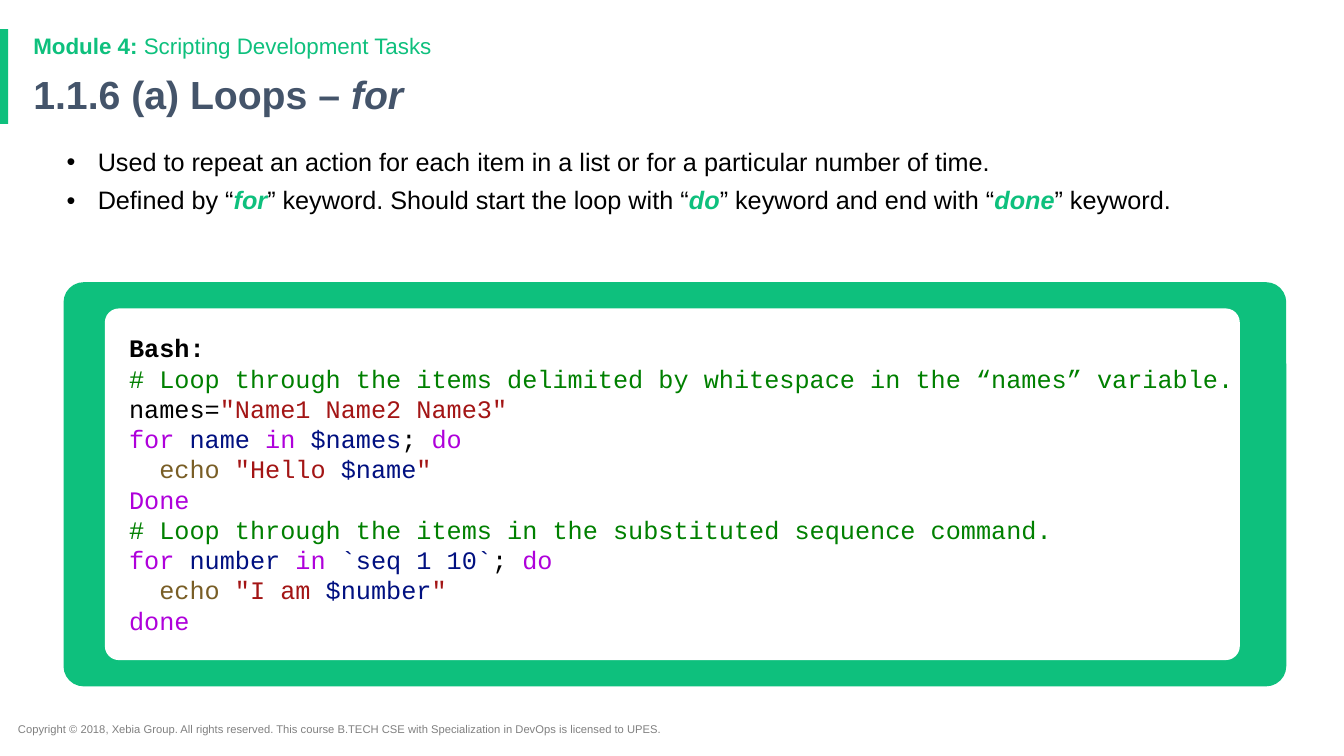
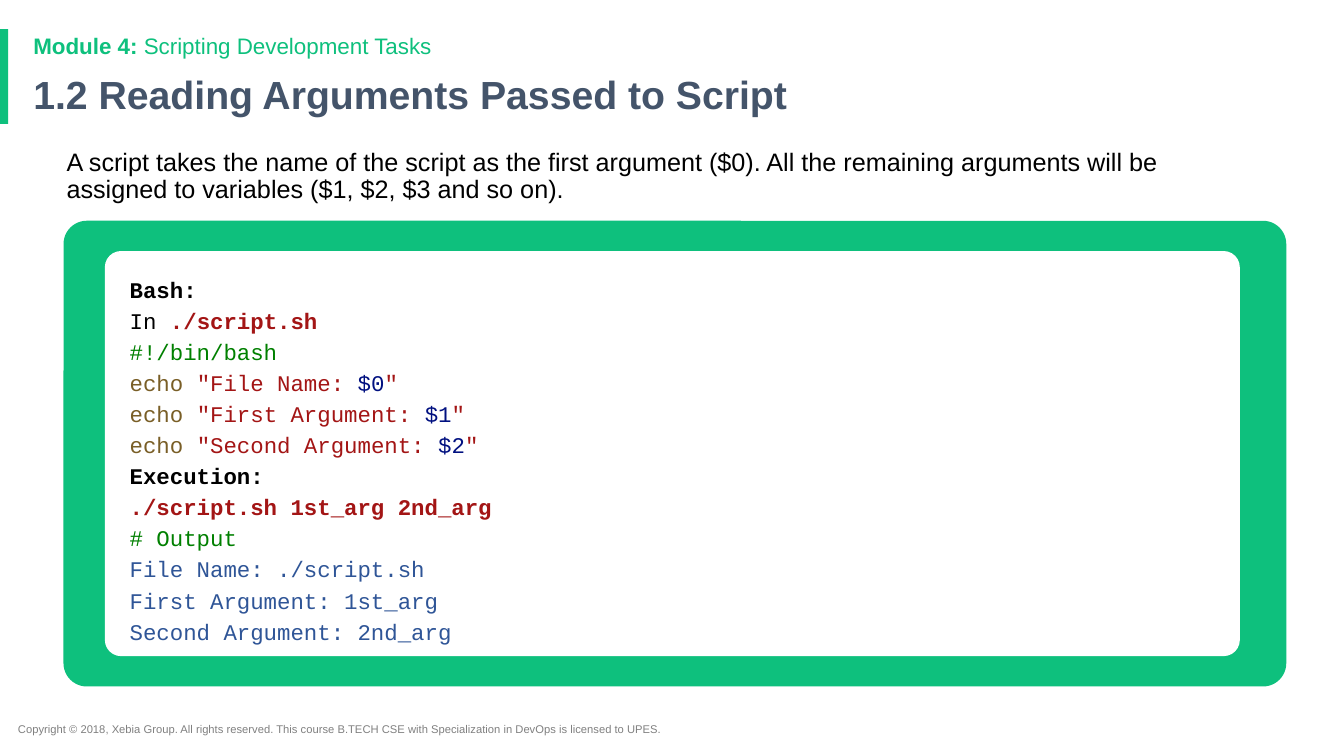
"""Two training slides on Bash loops and script arguments."""
import dataclasses

import lxml.etree
import pptx
import pptx.dml.color
import pptx.enum.shapes
import pptx.enum.text
import pptx.oxml.ns
import pptx.util


@dataclasses.dataclass(frozen=True)
class Theme:
    """Colours, fonts and type sizes; each text style is colour, bold, italic."""
    accent: str = "0EC07D"
    paper: str = "FFFFFF"
    sans: str = "Arial"
    mono: str = "Courier New"
    title_size: int = 28
    module_size: int = 16
    body_size: int = 18
    footer_size: int = 8
    styles: dict = dataclasses.field(default_factory=lambda: {
        "title": ("44546A", True, False),
        "title_term": ("44546A", True, True),
        "module": ("0EC07D", True, False),
        "module_name": ("0EC07D", False, False),
        "footer": ("808080", False, False),
        "plain": ("000000", False, False),
        "heading": ("000000", True, False),
        "term": ("0EC07D", True, True),
        "comment": ("008000", False, False),
        "string": ("A31515", False, False),
        "file": ("A31515", True, False),
        "keyword": ("AF00DB", False, False),
        "variable": ("001080", False, False),
        "command": ("795E26", False, False),
        "output": ("2F5597", False, False),
    })


class Deck:
    """Holds the theme and the current page; places are percentages of the slide."""

    MARGIN, TEXT_WIDTH = 1.73, 86.25
    PANEL_LEFT, PANEL_WIDTH, PANEL_BOTTOM = 4.73, 90.98, 90.8
    CODE_LEFT, CODE_WIDTH, CODE_GAP = 7.8, 84.45, 0.065

    def __init__(self, theme):
        """Start an empty widescreen presentation."""
        self.theme = theme
        self.show = pptx.Presentation()
        self.show.slide_width = pptx.util.Inches(13.33)
        self.show.slide_height = pptx.util.Inches(7.5)
        self.page = None

    def place(self, left, top, width, height):
        """Turn percentages of the slide into lengths."""
        across, down = self.show.slide_width / 100, self.show.slide_height / 100
        return [round(left * across), round(top * down),
                round(width * across), round(height * down)]

    def style(self, font, role):
        """Apply a named text style to a font."""
        colour, font.bold, font.italic = self.theme.styles[role]
        font.color.rgb = pptx.dml.color.RGBColor.from_string(colour)

    def bullet(self, para, mark):
        """Give a paragraph a hanging bullet, or none."""
        props = para._p.get_or_add_pPr()
        indent = pptx.util.Inches(0.31) if mark else 0
        props.set("marL", str(indent))
        props.set("indent", str(-indent))
        tag = pptx.oxml.ns.qn("a:buChar" if mark else "a:buNone")
        element = lxml.etree.SubElement(props, tag)
        if mark:
            element.set("char", mark)

    def set_text(self, box, lines, size, name=None, mark=None, leading=1.0, after=0, middle=False):
        """Fill a box with lines, each a list of (style, text) spans."""
        anchors = pptx.enum.text.MSO_ANCHOR
        frame = box.text_frame
        frame.word_wrap = True
        frame.auto_size = pptx.enum.text.MSO_AUTO_SIZE.NONE
        frame.vertical_anchor = anchors.MIDDLE if middle else anchors.TOP
        for number, spans in enumerate(lines):
            para = frame.add_paragraph() if number else frame.paragraphs[0]
            self.bullet(para, mark)
            para.alignment = pptx.enum.text.PP_ALIGN.LEFT
            para.line_spacing = leading
            para.space_before = pptx.util.Pt(0)
            para.space_after = pptx.util.Pt(after)
            para.font.name = name or self.theme.sans
            para.font.size = pptx.util.Pt(size)
            base = spans[0][0]
            self.style(para.font, base)
            for role, text in spans:
                span = para.add_run()
                span.text = text
                if role != base:
                    self.style(span.font, role)

    def block(self, shapes, kind, place, colour, rounding=None):
        """Add a flat filled shape without outline."""
        shape = shapes.add_shape(kind, *self.place(*place))
        shape.shadow.inherit = False
        shape.fill.solid()
        shape.fill.fore_color.rgb = pptx.dml.color.RGBColor.from_string(colour)
        shape.line.fill.background()
        if rounding is not None:
            shape.adjustments[0] = rounding
        return shape

    def placeholder(self, index, place):
        """Move a placeholder of the page and return it."""
        box = self.page.placeholders[index]
        box.left, box.top, box.width, box.height = self.place(*place)
        return box

    def new_page(self, title):
        """Add a page with its title, module line, accent bar and footer."""
        theme = self.theme
        self.page = self.show.slides.add_slide(self.show.slide_layouts.get_by_name("Two Content"))
        self.block(self.page.shapes, pptx.enum.shapes.MSO_SHAPE.RECTANGLE,
                   (0, 3.87, 0.6, 12.53), theme.accent)
        footer = self.page.shapes.add_textbox(*self.place(0.6, 94.93, 53.5, 3.2))
        self.set_text(footer, [[("footer", "Copyright © 2018, Xebia Group. All rights reserved. This course "
                                 "B.TECH CSE with Specialization in DevOps is licensed to UPES.")]],
                      theme.footer_size)
        heading = self.placeholder(0, (self.MARGIN, 9.2, self.TEXT_WIDTH, 7.2))
        self.set_text(heading, [title], theme.title_size, leading=0.9, middle=True)
        module = self.placeholder(1, (self.MARGIN, 4, self.TEXT_WIDTH, 4.4))
        self.set_text(module, [[("module", "Module 4:"), ("module_name", " Scripting Development Tasks")]],
                      theme.module_size, leading=0.9, middle=True)

    def body(self, lines, mark=None):
        """Set the body text, bulleted when a mark is given."""
        box = self.placeholder(2, (4.2, 19.07, 84.3, 70.53))
        self.set_text(box, lines, self.theme.body_size, mark=mark, leading=0.9, after=8.4)

    def code_panel(self, top, lines, size, after=0):
        """Add a framed code listing reaching down to the shared bottom edge."""
        rounded = pptx.enum.shapes.MSO_SHAPE.ROUNDED_RECTANGLE
        height = self.PANEL_BOTTOM - top
        gap = height * self.CODE_GAP
        group = self.page.shapes.add_group_shape()
        self.block(group.shapes, rounded, (self.PANEL_LEFT, top, self.PANEL_WIDTH, height),
                   self.theme.accent, 0.05)
        listing = self.block(group.shapes, rounded,
                             (self.CODE_LEFT, top + gap, self.CODE_WIDTH, height - 2 * gap),
                             self.theme.paper, 0.04)
        frame = listing.text_frame
        frame.margin_left = frame.margin_top = pptx.util.Inches(0.2)
        frame.margin_right = frame.margin_bottom = 0
        self.set_text(listing, lines, size, name=self.theme.mono, after=after)


def echo(label, variable, indent=""):
    """Return the spans of an echo command that prints a label and a variable."""
    return [("command", indent + "echo "), ("string", '"' + label + " "),
            ("variable", variable), ("string", '"')]


def loop(name, items):
    """Return the spans of the opening line of a for loop."""
    return [("keyword", "for "), ("variable", name + " "), ("keyword", "in "),
            ("variable", items), ("plain", "; "), ("keyword", "do")]


def main():
    """Build both slides and save them."""
    deck = Deck(Theme())

    deck.new_page([("title", "1.1.6 (a) Loops – "), ("title_term", "for")])
    deck.body([
        [("plain", "Used to repeat an action for each item in a list or for a particular number of time.")],
        [("plain", "Defined by “"), ("term", "for"),
         ("plain", "” keyword. Should start the loop with “"), ("term", "do"),
         ("plain", "” keyword and end with “"), ("term", "done"), ("plain", "” keyword.")],
    ], mark="•")
    deck.code_panel(37.33, [
        [("heading", "Bash:")],
        [("comment", "# Loop through the items delimited by whitespace in the “names” variable.")],
        [("plain", "names="), ("string", '"Name1 Name2 Name3"')],
        loop("name", "$names"),
        echo("Hello", "$name", "  "),
        [("keyword", "Done")],
        [("comment", "# Loop through the items in the substituted sequence command.")],
        loop("number", "`seq 1 10`"),
        echo("I am", "$number", "  "),
        [("keyword", "done")],
    ], size=18)

    deck.new_page([("title", "1.2 Reading Arguments Passed to Script")])
    deck.body([[("plain", "A script takes the name of the script as the first argument ($0). All the "
                 "remaining arguments will be assigned to variables ($1, $2, $3 and so on).")]])
    deck.code_panel(29.2, [
        [("heading", "Bash:")],
        [("plain", "In "), ("file", "./script.sh")],
        [("comment", "#!/bin/bash")],
        echo("File Name:", "$0"),
        echo("First Argument:", "$1"),
        echo("Second Argument:", "$2"),
        [("heading", "Execution:")],
        [("file", "./script.sh 1st_arg 2nd_arg")],
        [("comment", "# Output")],
        [("output", "File Name: ./script.sh")],
        [("output", "First Argument: 1st_arg")],
        [("output", "Second Argument: 2nd_arg")],
    ], size=16, after=3)

    deck.show.save("out.pptx")


if __name__ == "__main__":
    main()
